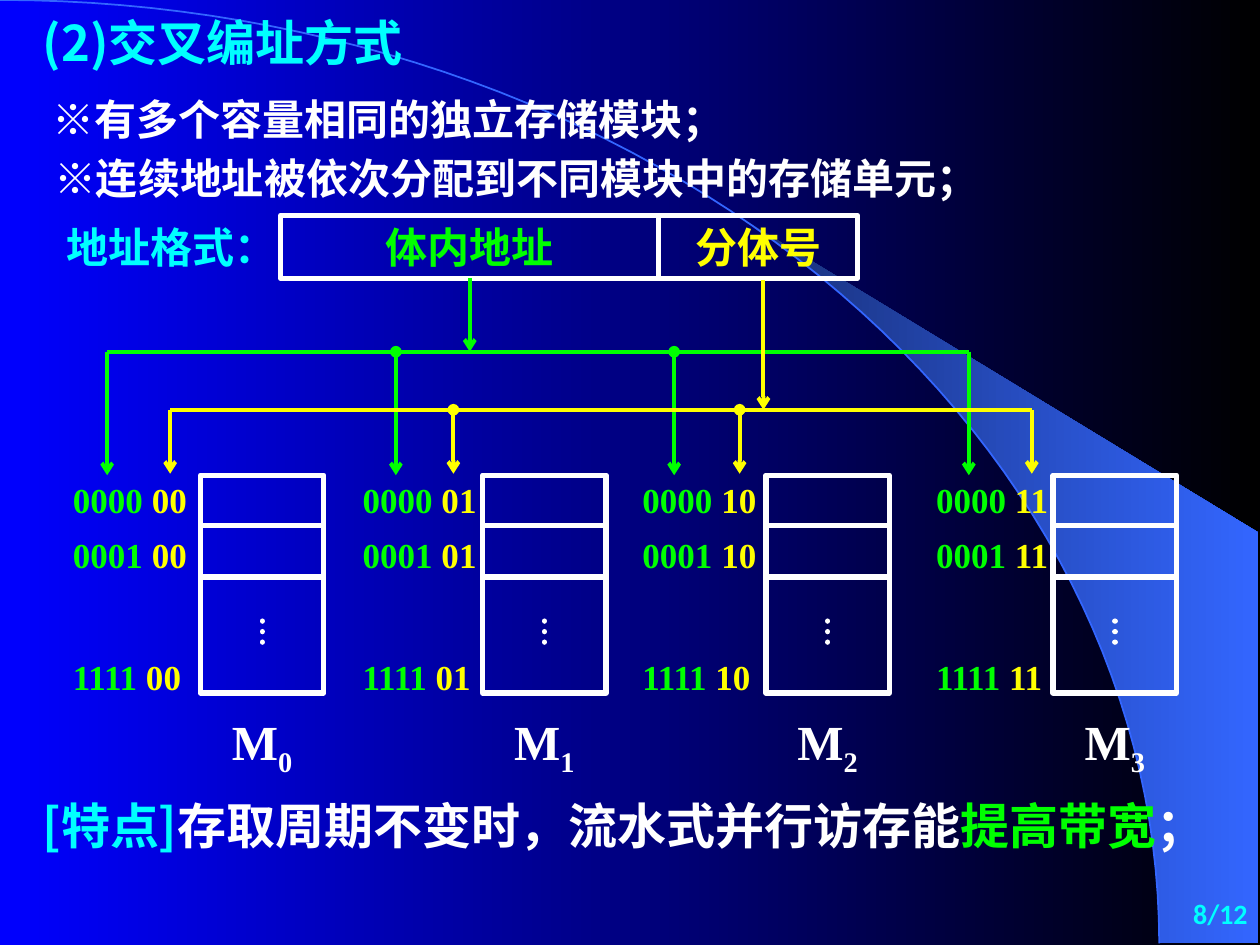
from dataclasses import dataclass
from math import acos, cos, pi, sin

from lxml.etree import SubElement
from pptx import Presentation
from pptx.dml.color import RGBColor
from pptx.enum.dml import MSO_LINE
from pptx.enum.shapes import MSO_CONNECTOR, MSO_SHAPE
from pptx.enum.text import MSO_ANCHOR, MSO_AUTO_SIZE, PP_ALIGN
from pptx.oxml.ns import qn
from pptx.util import Cm, Pt

BLUE = RGBColor(0x00, 0x00, 0xFF)
BLACK = RGBColor(0x00, 0x00, 0x00)
NAVY = RGBColor(0x18, 0x2F, 0x76)
SKY = RGBColor(0x33, 0x66, 0xFF)
WHITE = RGBColor(0xFF, 0xFF, 0xFF)
CYAN = RGBColor(0x00, 0xFF, 0xFF)
GREEN = RGBColor(0x00, 0xFF, 0x00)
YELLOW = RGBColor(0xFF, 0xFF, 0x00)

CJK = "Noto Sans CJK SC"
SERIF = "Times New Roman"

ARC_RX, ARC_RY = 23.37, 19.02
FIELD_TOP, FIELD_H = 4.34, 1.27
GREEN_BUS, YELLOW_BUS = 7.09, 8.26
MODULE_TOP, MODULE_W, MODULE_H = 9.58, 2.49, 4.39
ROWS = (("0000", 9.53), ("0001", 10.64), ("1111", 13.08))


@dataclass
class Module:
    """Left edges and arrow positions of one memory module, in cm."""
    box: float
    labels: float
    green: float
    yellow: float


MODULES = (
    Module(4.04, 1.22, 2.16, 3.43),
    Module(9.73, 7.06, 7.98, 9.14),
    Module(15.44, 12.7, 13.59, 14.91),
    Module(21.23, 18.62, 19.53, 20.8),
)


def set_gradient(fill, start, end):
    fill.gradient()
    fill.gradient_angle = 0
    for stop, color in zip(fill.gradient_stops, (start, end)):
        stop.color.rgb = color


def write_runs(tf, runs, size, font, align=PP_ALIGN.LEFT, spacing=None):
    """Fill the first paragraph with (text, colour) runs."""
    p = tf.paragraphs[0]
    p.alignment = align
    if spacing:
        p.line_spacing = spacing
    for text, color in runs:
        r = p.add_run()
        r.text = text
        r.font.size = Pt(size)
        r.font.bold = True
        r.font.color.rgb = color
        r.font.name = font
        SubElement(r.font._element, qn("a:ea")).set("typeface", CJK)
    return p


def add_text(s, x, y, w, h, runs, size, font=CJK, anchor=MSO_ANCHOR.TOP, **fmt):
    tf = s.shapes.add_textbox(Cm(x), Cm(y), Cm(w), Cm(h)).text_frame
    tf.word_wrap = True
    tf.vertical_anchor = anchor
    return write_runs(tf, runs, size, font, **fmt)


def add_line(s, x1, y1, x2, y2, color, width=2.25, head=None, tail=None):
    line = s.shapes.add_connector(MSO_CONNECTOR.STRAIGHT, Cm(x1), Cm(y1), Cm(x2), Cm(y2))
    line.line.color.rgb = color
    line.line.width = Pt(width)
    ln = line.line._get_or_add_ln()
    for tag, kind in (("a:headEnd", head), ("a:tailEnd", tail)):
        if kind:
            SubElement(ln, qn(tag)).set("type", kind)
    SubElement(line._element.spPr, qn("a:effectLst"))
    return line


def add_box(s, x, y, w, h):
    sp = s.shapes.add_shape(MSO_SHAPE.RECTANGLE, Cm(x), Cm(y), Cm(w), Cm(h))
    sp.shadow.inherit = False
    sp.fill.background()
    sp.line.color.rgb = WHITE
    sp.line.width = Pt(3)
    return sp


def add_field(s, x, w, text, color):
    tf = add_box(s, x, FIELD_TOP, w, FIELD_H).text_frame
    tf.vertical_anchor = MSO_ANCHOR.TOP
    write_runs(tf, [(text, color)], 24, SERIF, PP_ALIGN.CENTER)


def arc_points(start, steps=60):
    """Points of the quarter ellipse from angle start down to its right end."""
    angles = [start * (1 - i / steps) for i in range(steps + 1)]
    return [(Cm(ARC_RX * cos(a)), Cm(ARC_RY * (1 - sin(a)))) for a in angles]


def add_outline(s, points, close):
    builder = s.shapes.build_freeform(*points[0])
    builder.add_line_segments(points[1:], close=close)
    sp = builder.convert_to_shape()
    sp.shadow.inherit = False
    return sp


def add_backdrop(s):
    set_gradient(s.background.fill, BLUE, BLACK)
    corner = [(Cm(25.37), Cm(ARC_RY)), (Cm(25.37), Cm(10.74))]
    sail = add_outline(s, arc_points(acos(0.64)) + corner, True)
    set_gradient(sail.fill, NAVY, SKY)
    sail.line.fill.background()
    arc = add_outline(s, arc_points(pi / 2), False)
    arc.fill.background()
    arc.line.color.rgb = SKY
    arc.line.width = Pt(1)


def add_title(s, text):
    title = s.shapes.title
    title.left, title.top, title.width, title.height = Cm(0.61), Cm(0), Cm(9.09), Cm(1.7)
    tf = title.text_frame
    tf.auto_size = MSO_AUTO_SIZE.NONE
    tf.vertical_anchor = MSO_ANCHOR.MIDDLE
    write_runs(tf, [(text, CYAN)], 28, CJK)
    s.shapes._spTree.append(title._element)  # in front of the backdrop


def add_module(s, index, m):
    add_box(s, m.box, MODULE_TOP, MODULE_W, MODULE_H)
    for y in (10.6, 11.63):
        add_line(s, m.box, y, m.box + MODULE_W, y, WHITE, 3)
    middle = m.box + MODULE_W / 2
    dots = add_line(s, middle, 12.52, middle, 13.13, WHITE, 3)
    dots.line.dash_style = MSO_LINE.ROUND_DOT
    dots.line._get_or_add_ln().set("cap", "rnd")
    p = add_text(s, m.box, 14.22, MODULE_W, 1.6, [("M", WHITE), (str(index), WHITE)],
                 28, SERIF, align=PP_ALIGN.CENTER)
    p.runs[1].font._element.set("baseline", "-25000")
    for row, y in ROWS:
        add_text(s, m.labels, y, 3, 1.12, [(row + " ", GREEN), (f"{index:02b}", YELLOW)],
                 20, SERIF)


def add_bus(s, y, bottom, drops, color):
    """Horizontal bus with an arrow down to each module; inner taps get a dot."""
    add_line(s, drops[0], y, drops[-1], y, color)
    for x in drops:
        head = None if x in (drops[0], drops[-1]) else "oval"
        add_line(s, x, y, x, bottom, color, head=head, tail="arrow")


def main():
    prs = Presentation()
    prs.slide_width, prs.slide_height = Cm(25.4), Cm(19.05)
    s = prs.slides.add_slide(prs.slide_layouts[5])
    add_backdrop(s)
    add_title(s, "(2)交叉编址方式")

    for i, m in enumerate(MODULES):
        add_module(s, i, m)

    add_field(s, 13.28, 4.01, "分体号", YELLOW)
    add_field(s, 5.66, 7.62, "体内地址", GREEN)
    add_line(s, 9.47, 5.61, 9.47, GREEN_BUS, GREEN, tail="arrow")
    add_bus(s, GREEN_BUS, 9.58, [m.green for m in MODULES], GREEN)
    add_line(s, 15.39, 5.64, 15.39, YELLOW_BUS, YELLOW, tail="arrow")
    add_bus(s, YELLOW_BUS, 9.55, [m.yellow for m in MODULES], YELLOW)

    add_text(s, 1.09, 4.34, 5, 1.27, [("地址格式：", CYAN)], 24)
    add_text(s, 0.81, 1.55, 16.76, 1.47, [("※有多个容量相同的独立存储模块；", WHITE)],
             24, spacing=1.2)
    add_text(s, 0.84, 2.74, 20.75, 1.47,
             [("※连续地址被依次分配到不同模块中的存储单元；", WHITE)], 24, spacing=1.2)
    add_text(s, 0.61, 15.67, 24.16, 1.68,
             [("[特点]", CYAN), ("存取周期不变时，流水式并行访存能", WHITE),
              ("提高带宽", GREEN), ("；", WHITE)], 28, spacing=1.2)
    add_text(s, 20.12, 17.78, 5.28, 1.27, [("8/12", CYAN)], 16, "Calibri",
             MSO_ANCHOR.MIDDLE, align=PP_ALIGN.RIGHT)
    prs.save("out.pptx")


if __name__ == "__main__":
    main()
